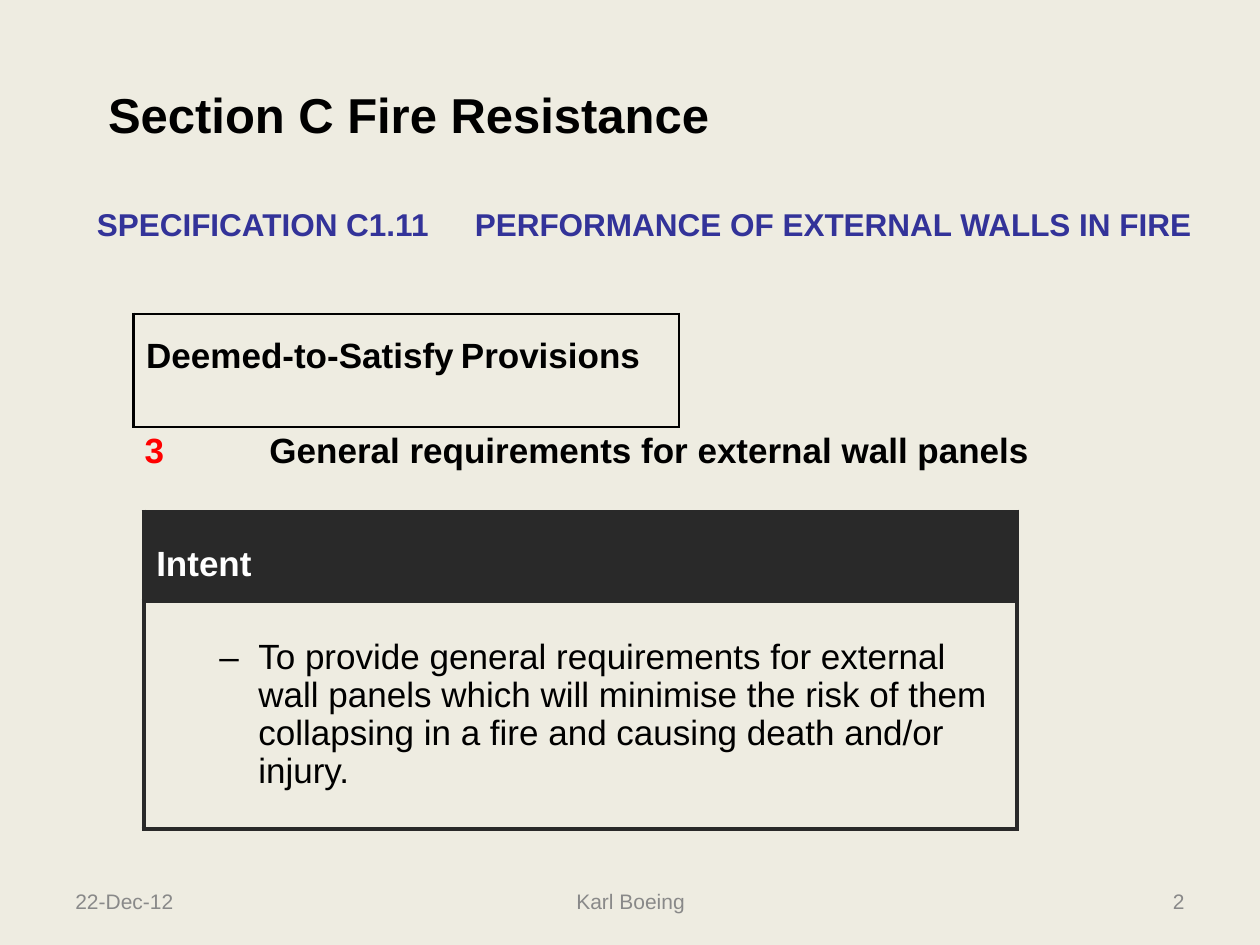
from lxml.etree import SubElement
from pptx import Presentation
from pptx.dml.color import RGBColor
from pptx.enum.text import MSO_ANCHOR, PP_ALIGN
from pptx.oxml.ns import qn
from pptx.util import Inches, Pt

BLACK, CHARCOAL, WHITE = "000000", "292929", "FFFFFF"
GREY, BLUE, RED = "898989", "333399", "FF0000"


def write(paragraph, runs, size, bold=True):
    """Add (text, colour) runs to a paragraph in one size and weight."""
    for text, colour in runs:
        run = paragraph.add_run()
        run.text = text
        for name, value in {"name": "Arial", "size": Pt(size), "bold": bold}.items():
            setattr(run.font, name, value)
        run.font.color.rgb = RGBColor.from_string(colour)


def add_bordered_table(slide, left, top, width, heights, colour, weight):
    """Add a one-column table with plain cells and an even border; return its cells."""
    table = slide.shapes.add_table(len(heights), 1, left, top, width, sum(heights)).table
    table.first_row = table.horz_banding = False
    for row, height in zip(table.rows, heights):
        row.height = height
    cells = [row.cells[0] for row in table.rows]
    for cell in cells:
        properties = cell._tc.get_or_add_tcPr()
        for side in ("a:lnL", "a:lnR", "a:lnT", "a:lnB"):
            line = SubElement(properties, qn(side), w=str(Pt(weight)))
            fill = SubElement(line, qn("a:solidFill"))
            SubElement(fill, qn("a:srgbClr"), val=colour)
        cell.fill.background()
    return cells


presentation = Presentation()
presentation.slide_width, presentation.slide_height = Inches(10), Inches(7.5)
slide = presentation.slides.add_slide(presentation.slide_layouts[6])
slide.background.fill.solid()
slide.background.fill.fore_color.rgb = RGBColor.from_string("EEECE1")

# A grid of 100 columns by 100 rows
COLUMN = presentation.slide_width // 100
ROW = presentation.slide_height // 100

# Left, top, width, height, runs, size, bold, alignment, tab stop in columns
LEFT, CENTER, RIGHT = PP_ALIGN.LEFT, PP_ALIGN.CENTER, PP_ALIGN.RIGHT
texts = [
    (7.6, 8.27, 50, 7.6, [("Section C Fire Resistance", BLACK)], 28, True, LEFT, None),
    (6.7, 20.93, 89.5, 5.47,
     [("SPECIFICATION C1.11\tPERFORMANCE OF EXTERNAL WALLS IN FIRE", BLUE)],
     18, True, LEFT, 30),
    (10.5, 44.67, 72.5, 5.87,
     [("3\t", RED), ("General requirements for external wall panels", BLACK)],
     20, True, LEFT, 9.9),
    (5, 92.67, 23.3, 5.33, [("22-Dec-12", GREY)], 12, False, LEFT, None),
    (34.2, 92.67, 31.7, 5.33, [("Karl Boeing", GREY)], 12, False, CENTER, None),
    (71.7, 92.67, 23.3, 5.33, [("2", GREY)], 12, False, RIGHT, None),
]
for left, top, width, height, runs, size, bold, alignment, tab in texts:
    box = slide.shapes.add_textbox(
        int(left * COLUMN), int(top * ROW), int(width * COLUMN), int(height * ROW))
    frame = box.text_frame
    frame.word_wrap = True
    frame.vertical_anchor = MSO_ANCHOR.MIDDLE
    paragraph = frame.paragraphs[0]
    paragraph.alignment = alignment
    if tab:
        tabs = SubElement(paragraph._p.get_or_add_pPr(), qn("a:tabLst"))
        SubElement(tabs, qn("a:tab"), pos=str(int(tab * COLUMN)), algn="l")
    write(paragraph, runs, size, bold)

provisions, = add_bordered_table(
    slide, int(10.6 * COLUMN), int(33.2 * ROW), int(43.3 * COLUMN),
    [12 * ROW], BLACK, 1.47)
provisions.margin_top = Inches(0.18)
heading = provisions.text_frame.paragraphs[0]
write(heading, [("Deemed-to-Satisfy", BLACK)], 20)
write(heading, [(" ", BLACK)], 14)
write(heading, [("Provisions", BLACK)], 20)

intent, explanation = add_bordered_table(
    slide, int(11.4 * COLUMN), int(54.13 * ROW), int(69.3 * COLUMN),
    [int(9.47 * ROW), int(24.13 * ROW)], CHARCOAL, 2.5)
for cell in (intent, explanation):
    cell.vertical_anchor = MSO_ANCHOR.MIDDLE
intent.margin_top = Inches(0.18)
intent.fill.solid()
intent.fill.fore_color.rgb = RGBColor.from_string(CHARCOAL)
write(intent.text_frame.paragraphs[0], [("Intent", WHITE)], 20)

paragraph = explanation.text_frame.paragraphs[0]
paragraph.line_spacing = 0.97
properties = paragraph._p.get_or_add_pPr()
properties.set("marL", str(Inches(0.81)))
properties.set("indent", str(Inches(-0.31)))
bullet_colour = SubElement(properties, qn("a:buClr"))
SubElement(bullet_colour, qn("a:srgbClr"), val=BLACK)
SubElement(properties, qn("a:buFont"), typeface="Arial")
SubElement(properties, qn("a:buChar"), char="–")
write(paragraph, [(
    "To provide general requirements for external wall panels which will minimise "
    "the risk of them collapsing in a fire and causing death and/or injury.", BLACK)],
    20, False)

presentation.save("out.pptx")
